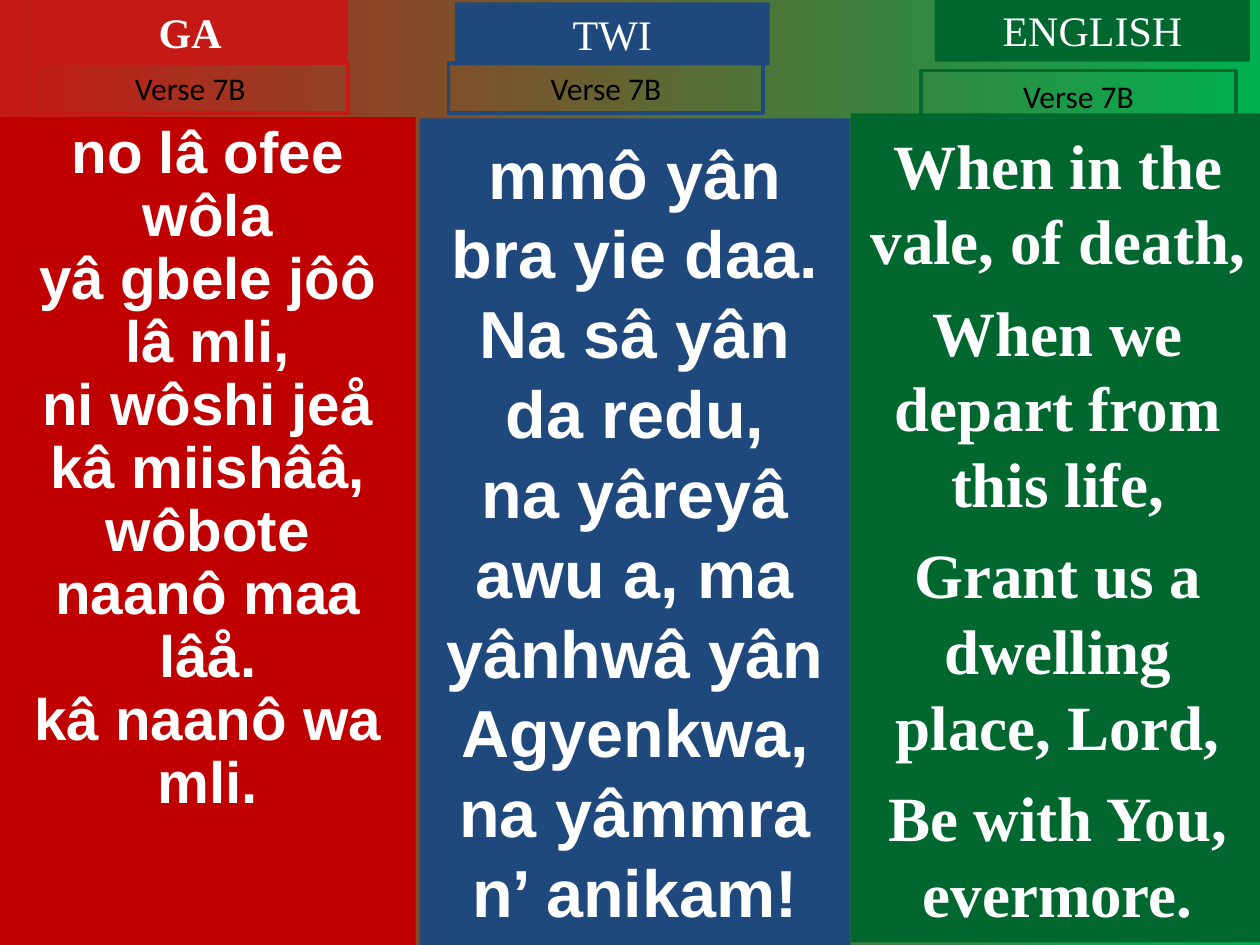
from pptx import Presentation
from pptx.dml.color import RGBColor
from pptx.enum.shapes import MSO_SHAPE
from pptx.enum.text import MSO_ANCHOR, MSO_AUTO_SIZE, PP_ALIGN
from pptx.util import Inches, Pt

RECTANGLE = MSO_SHAPE.RECTANGLE
TOP, MIDDLE = MSO_ANCHOR.TOP, MSO_ANCHOR.MIDDLE
CENTER = PP_ALIGN.CENTER
FIT_SHAPE, NO_FIT = MSO_AUTO_SIZE.SHAPE_TO_FIT_TEXT, MSO_AUTO_SIZE.NONE

THEME = {
    "red": "C00000", "bright_red": "C51915", "blue": "1F497D",
    "green": "00682F", "light_green": "00B050",
    "white": "FFFFFF", "black": "000000",
    "sans": "Arial", "serif": "Times New Roman", "label": "Calibri",
    "heading_size": 24, "label_size": 18,
}
HEADING_SIZE = (2.5, 0.5)
LABEL_SIZE = (2.5, 0.4)
VERSE = "Verse 7B"

# One entry per language: positions in inches, then the verse and its format
COLUMNS = [
    {
        "heading": "GA", "bold_heading": True, "accent": "bright_red", "fill": "red",
        "heading_at": (0.26, 0), "label_at": (0.26, 0.5), "panel": (0, 0.93, 3.3, 6.57),
        "lines": ["no lâ ofee wôla", "yâ gbele jôô lâ mli,",
                  "ni wôshi jeå kâ miishââ, wôbote naanô maa lâå.", "kâ naanô wa mli."],
        "format": {"font": "sans", "size": 33.3, "spacing": 0.9, "anchor": TOP},
    },
    {
        "heading": "TWI", "bold_heading": False, "accent": "blue", "fill": "blue",
        "heading_at": (3.61, 0.02), "label_at": (3.56, 0.5), "panel": (3.33, 0.94, 3.42, 6.56),
        "lines": ["mmô yân bra yie daa.", "Na sâ yân da redu,",
                  "na yâreyâ awu a, ma yânhwâ yân Agyenkwa,", "na yâmmra n’ anikam!"],
        "format": {"font": "sans", "size": 38},
    },
    {
        "heading": "ENGLISH", "bold_heading": False, "accent": "green", "fill": "green",
        "heading_at": (7.42, -0.01), "label_at": (7.31, 0.56), "panel": (6.75, 0.9, 3.29, 6.58),
        "lines": ["When in the vale, of death,", "When we depart from this life,",
                  "Grant us a dwelling place, Lord,", "Be with You, evermore."],
        "format": {"font": "serif", "size": 36, "before": 9},
    },
]


def color(name):
    return RGBColor.from_string(THEME[name])


def add_box(slide, place, fill=None, line=None):
    box = slide.shapes.add_shape(RECTANGLE, *(Inches(value) for value in place))
    box.shadow.inherit = False
    if fill:
        box.fill.solid()
        box.fill.fore_color.rgb = color(fill)
    else:
        box.fill.background()
    if line:
        box.line.color.rgb = color(line)
        box.line.width = Pt(2.25)
    else:
        box.line.fill.background()
    return box


def write(box, lines, font, size, ink="white", bold=False, spacing=1.0,
          before=0, anchor=MIDDLE, fit=NO_FIT):
    frame = box.text_frame
    frame.word_wrap = True
    frame.auto_size = fit
    frame.vertical_anchor = anchor
    for index, line in enumerate(lines):
        para = frame.add_paragraph() if index else frame.paragraphs[0]
        para.alignment = CENTER
        para.line_spacing = spacing
        para.space_before = Pt(before if index else 0)
        span = para.add_run()
        span.text = line
        span.font.name = THEME[font]
        span.font.size = Pt(size)
        span.font.bold = bold
        span.font.color.rgb = color(ink)


def main():
    deck = Presentation()
    deck.slide_width, deck.slide_height = Inches(10), Inches(7.5)
    slide = deck.slides.add_slide(deck.slide_layouts[6])

    # Background runs from red to green, left to right
    backdrop = slide.background.fill
    backdrop.gradient()
    backdrop.gradient_angle = 0
    for stop, name in zip(backdrop.gradient_stops, ("bright_red", "light_green")):
        stop.color.rgb = color(name)

    for column in COLUMNS:
        # Verse panel
        panel = add_box(slide, column["panel"], fill=column["fill"])
        write(panel, column["lines"], bold=True, **column["format"])
        # Language heading
        heading = add_box(slide, column["heading_at"] + HEADING_SIZE, fill=column["accent"])
        write(heading, [column["heading"]], "serif", THEME["heading_size"],
              bold=column["bold_heading"], anchor=TOP, fit=FIT_SHAPE)
        # Verse label
        label = add_box(slide, column["label_at"] + LABEL_SIZE, line=column["accent"])
        write(label, [VERSE], "label", THEME["label_size"], ink="black",
              anchor=TOP, fit=FIT_SHAPE)

    deck.save("out.pptx")


if __name__ == "__main__":
    main()
